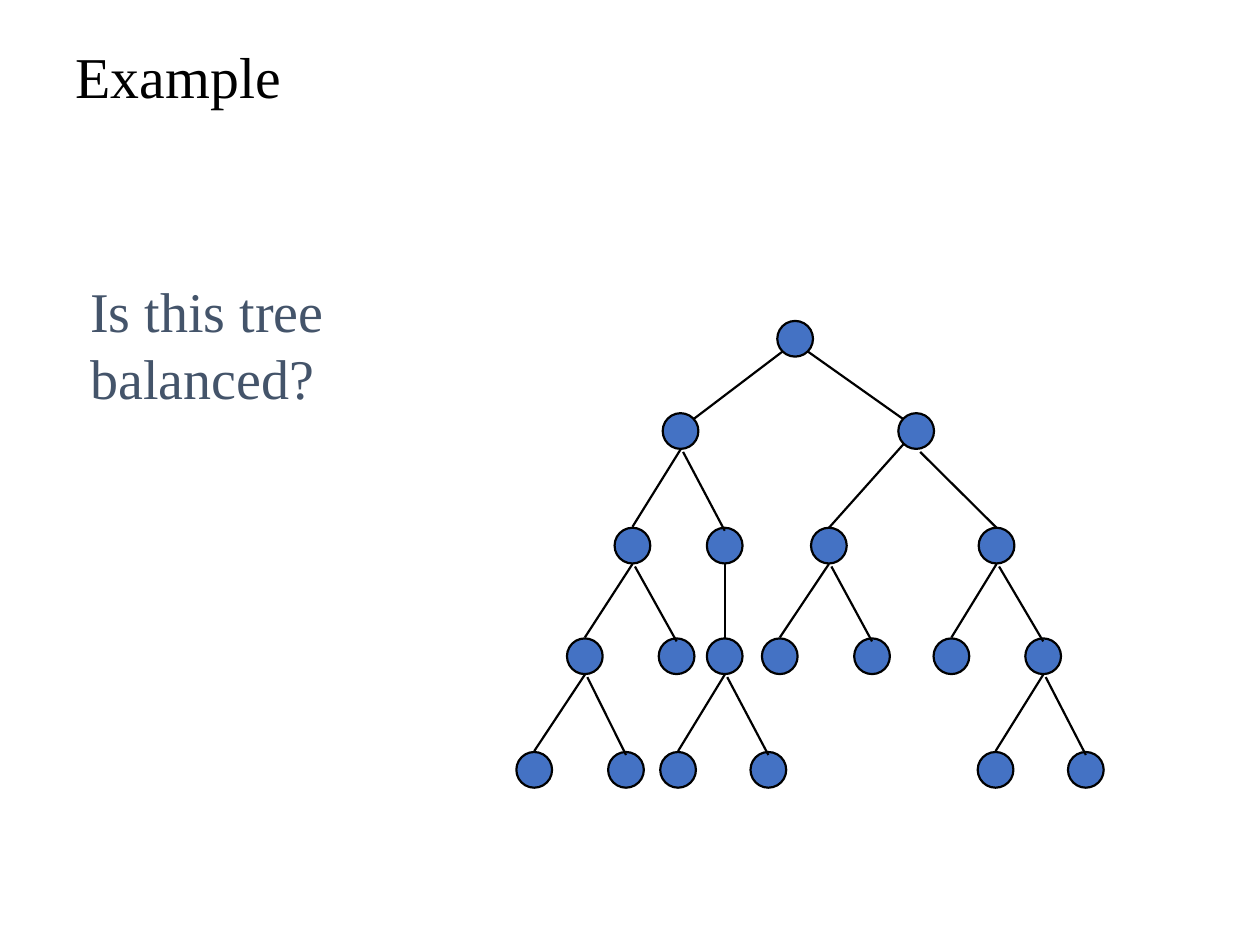
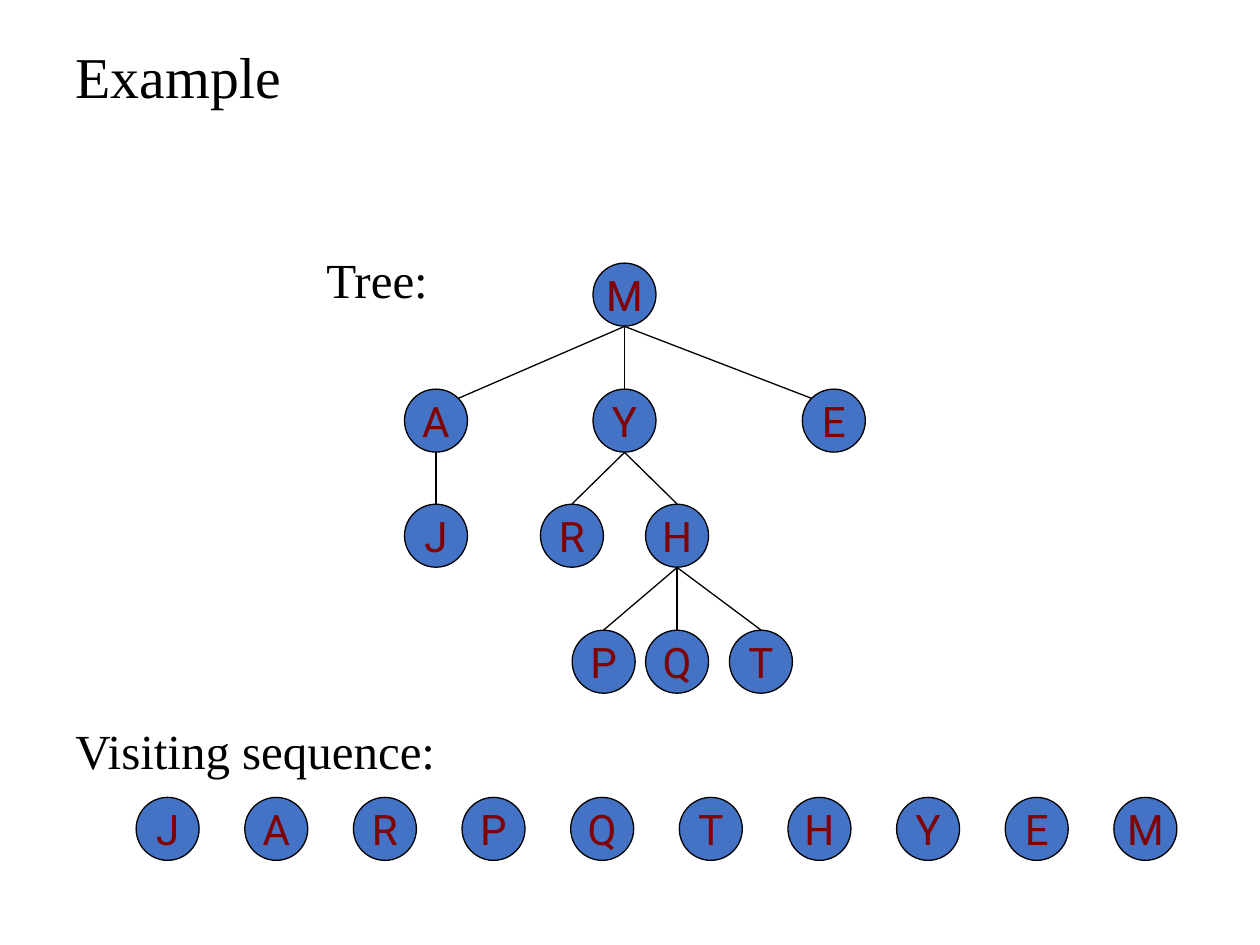
from lxml import etree
from pptx import Presentation
from pptx.dml.color import RGBColor
from pptx.enum.shapes import MSO_CONNECTOR, MSO_SHAPE
from pptx.enum.text import MSO_ANCHOR, MSO_AUTO_SIZE, PP_ALIGN
from pptx.oxml.ns import qn
from pptx.util import Cm, Pt

ELLIPSE, STRAIGHT = MSO_SHAPE.OVAL, MSO_CONNECTOR.STRAIGHT
LEFT, CENTER = PP_ALIGN.LEFT, PP_ALIGN.CENTER
MIDDLE, NO_AUTOFIT = MSO_ANCHOR.MIDDLE, MSO_AUTO_SIZE.NONE

COLORS = {name: RGBColor.from_string(value) for name, value in {
    "ink": "000000", "node": "4472C4", "letter": "800000", "question": "44546A",
}.items()}
SERIF, SANS = "Times New Roman", "Roboto"


def add_node(slide, center, diameter, line_width, letter=""):
    x, y = center
    node = slide.shapes.add_shape(ELLIPSE, Cm(x - diameter / 2), Cm(y - diameter / 2),
                                  Cm(diameter), Cm(diameter))
    node.shadow.inherit = False
    node.fill.solid()
    node.fill.fore_color.rgb = COLORS["node"]
    node.line.color.rgb = COLORS["ink"]
    node.line.width = Pt(line_width)
    if letter:
        frame = node.text_frame
        frame.word_wrap = False
        frame.vertical_anchor = MIDDLE
        paragraph = frame.paragraphs[0]
        paragraph.text = letter
        paragraph.alignment = CENTER
        paragraph.font.name = SANS
        paragraph.font.size = Pt(24)
        paragraph.font.color.rgb = COLORS["letter"]


def add_edge(slide, parent, child, start, end, line_width):
    """Join two node centres, with an (x, y) offset at each end."""
    edge = slide.shapes.add_connector(
        STRAIGHT, Cm(parent[0] + start[0]), Cm(parent[1] + start[1]),
        Cm(child[0] + end[0]), Cm(child[1] + end[1]))
    edge.line.color.rgb = COLORS["ink"]
    edge.line.width = Pt(line_width)
    etree.SubElement(edge._element.spPr, qn("a:effectLst"))


presentation = Presentation()
presentation.slide_width, presentation.slide_height = Cm(25.4), Cm(19.05)

# Both slides: title and free text (text, left, top, width, size, color)
slide_texts = [
    [("Is this tree balanced?", 1.57, 5.44, 10, 32, "question")],
    [("Tree:", 6.33, 4.9, 4, 28, "ink"),
     ("Visiting sequence:", 1.27, 14.4, 9.96, 28, "ink")],
]
slides = []
for texts in slide_texts:
    slide = presentation.slides.add_slide(presentation.slide_layouts[5])
    slides.append(slide)
    title = slide.shapes.title
    title.left, title.top, title.width, title.height = Cm(1.27), Cm(0.43), Cm(22.86), Cm(2.34)
    title.text_frame.auto_size = NO_AUTOFIT
    title.text_frame.vertical_anchor = MIDDLE
    paragraph = title.text_frame.paragraphs[0]
    paragraph.text = "Example"
    paragraph.alignment = LEFT
    paragraph.line_spacing = 0.9
    paragraph.font.name = SERIF
    paragraph.font.size = Pt(33)
    paragraph.font.color.rgb = COLORS["ink"]

    for text, left, top, width, size, color in texts:
        box = slide.shapes.add_textbox(Cm(left), Cm(top), Cm(width), Cm(1.6))
        box.text_frame.word_wrap = True
        paragraph = box.text_frame.paragraphs[0]
        paragraph.text = text
        paragraph.font.name = SERIF
        paragraph.font.size = Pt(size)
        paragraph.font.color.rgb = COLORS[color]

balanced_slide, traversal_slide = slides

# Balanced tree: each level has a height and the x of its nodes, named by path
levels = [
    (6.83, {"root": 16.03}),
    (8.69, {"L": 13.72, "R": 18.47}),
    (11.0, {"LL": 12.75, "LR": 14.61, "RL": 16.71, "RR": 20.09}),
    (13.23, {"LLL": 11.79, "LLR": 13.64, "LRM": 14.61, "RLL": 15.72,
             "RLR": 17.58, "RRL": 19.18, "RRR": 21.03}),
    (15.52, {"LLLL": 10.77, "LLLR": 12.62, "LRML": 13.67, "LRMR": 15.49,
             "RRRL": 20.07, "RRRR": 21.89}),
]
centers = {name: (x, y) for y, row in levels for name, x in row.items()}
# Edge offsets by the last step of the path, then the wide edges near the root
steps = {"L": ((0, 0.37), (0, -0.38)), "M": ((0, 0.36), (0, -0.36)),
         "R": ((0.05, 0.42), (0, -0.3))}
wide_edges = {"L": ((-0.26, 0.26), (0.26, -0.24)), "R": ((0.26, 0.26), (-0.26, -0.24)),
              "RL": ((-0.26, 0.27), (0, -0.36)), "RR": ((0.08, 0.42), (0, -0.36))}

for center in centers.values():
    add_node(balanced_slide, center, 0.72, 1.25)
for name, center in centers.items():
    if name != "root":
        start, end = wide_edges.get(name, steps[name[-1]])
        add_edge(balanced_slide, centers[name[:-1] or "root"], center, start, end, 1.25)

# Visiting sequence: one evenly spaced row
for index, letter in enumerate("JARPQTHYEM"):
    add_node(traversal_slide, (3.38 + 2.19 * index, 16.71), 1.27, 0.75, letter)

# Lettered tree
letter_levels = [
    (5.94, {"M": 12.59}),
    (8.48, {"A": 8.79, "Y": 12.59, "E": 16.81}),
    (10.8, {"J": 8.79, "R": 11.53, "H": 13.65}),
    (13.34, {"P": 12.17, "Q": 13.65, "T": 15.34}),
]
letter_centers = {letter: (x, y) for y, row in letter_levels for letter, x in row.items()}
children = {"M": "AYE", "A": "J", "Y": "RH", "H": "PQT"}
side_ends = {"A": (0.45, -0.45), "E": (-0.45, -0.45)}

for letter, center in letter_centers.items():
    add_node(traversal_slide, center, 1.27, 0.75, letter)
for parent, letters in children.items():
    for letter in letters:
        add_edge(traversal_slide, letter_centers[parent], letter_centers[letter],
                 (0, 0.64), side_ends.get(letter, (0, -0.64)), 0.75)

presentation.save("out.pptx")
